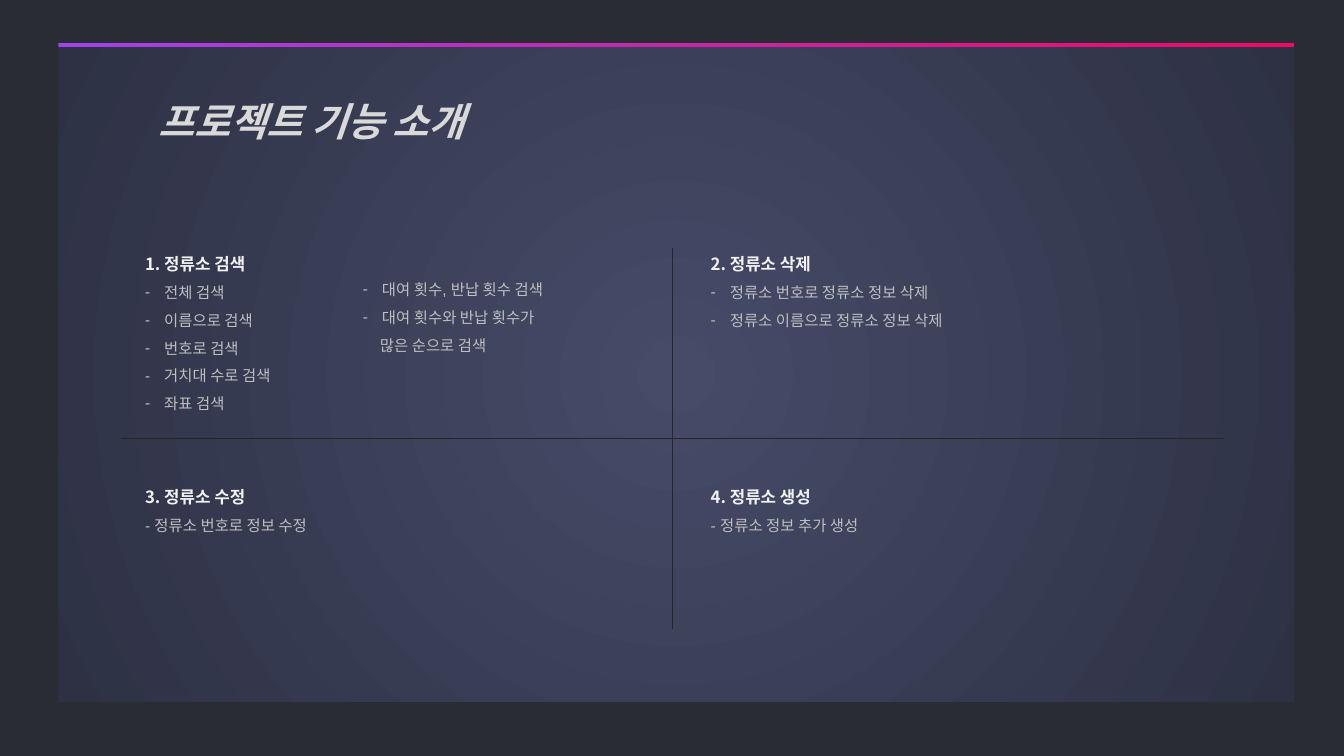
from lxml import etree
from pptx import Presentation
from pptx.dml.color import RGBColor
from pptx.enum.shapes import MSO_CONNECTOR, MSO_SHAPE
from pptx.enum.text import MSO_AUTO_SIZE
from pptx.oxml.ns import qn
from pptx.util import Inches, Pt

RECTANGLE = MSO_SHAPE.RECTANGLE
STRAIGHT = MSO_CONNECTOR.STRAIGHT
GROW = MSO_AUTO_SIZE.SHAPE_TO_FIT_TEXT

BACKDROP = RGBColor(0x29, 0x2C, 0x35)
PANEL_CENTER = RGBColor(0x46, 0x4B, 0x68)
PANEL_EDGE = RGBColor(0x2E, 0x31, 0x44)
VIOLET = RGBColor(0xA0, 0x43, 0xEB)
CRIMSON = RGBColor(0xED, 0x0B, 0x65)
TITLE_GRAY = RGBColor(0xD9, 0xD9, 0xD9)
HEADING_WHITE = RGBColor(0xF2, 0xF2, 0xF2)
DETAIL_GRAY = RGBColor(0xBF, 0xBF, 0xBF)
DIVIDER_GRAY = RGBColor(0x26, 0x26, 0x26)

KOREAN_FONT = "Noto Sans CJK KR"
DETAIL_FONT = "Arial"

SLIDE_WIDTH, SLIDE_HEIGHT = 13.33, 7.5
PANEL_LEFT, PANEL_TOP, PANEL_WIDTH, PANEL_HEIGHT = 0.58, 0.47, 12.26, 6.49
ACCENT_HEIGHT = 0.04
COLUMNS = (1.34, 6.95)
ROWS = (2.37, 4.68)
CROSS_X, CROSS_Y = 6.67, 4.35
CROSS_LEFT, CROSS_RIGHT, CROSS_TOP, CROSS_BOTTOM = 1.2, 12.14, 2.46, 6.24
HANGING = 0.19
CONTINUATION = 0.17

FEATURES = [
    (0, 0, 2.32, 1.79, "1. 정류소 검색",
     ["전체 검색", "이름으로 검색", "번호로 검색", "거치대 수로 검색", "좌표 검색"]),
    (1, 0, 5.19, 0.96, "2. 정류소 삭제",
     ["정류소 번호로 정류소 정보 삭제", "정류소 이름으로 정류소 정보 삭제"]),
    (0, 1, 5.19, 0.68, "3. 정류소 수정", "- 정류소 번호로 정보 수정"),
    (1, 1, 5.19, 0.68, "4. 정류소 생성", "- 정류소 정보 추가 생성"),
]
SEARCH_ORDERS = ["대여 횟수, 반납 횟수 검색", "대여 횟수와 반납 횟수가"]
SEARCH_ORDER_END = "많은 순으로 검색"


def add_gradient_band(slide, top, height, colors, radial=False):
    band = slide.shapes.add_shape(RECTANGLE, Inches(PANEL_LEFT), Inches(top),
                                  Inches(PANEL_WIDTH), Inches(height))
    band.shadow.inherit = False
    band.line.fill.background()
    band.fill.gradient()
    band.fill.gradient_angle = 0
    for stop, color in zip(band.fill.gradient_stops, colors):
        stop.color.rgb = color
    if radial:
        gradient = band._element.spPr.find(qn("a:gradFill"))
        gradient.remove(gradient.find(qn("a:lin")))
        circle = etree.SubElement(gradient, qn("a:path"), path="circle")
        etree.SubElement(circle, qn("a:fillToRect"),
                         dict.fromkeys("ltrb", "50000"))


def add_divider(group, x1, y1, x2, y2):
    divider = group.shapes.add_connector(STRAIGHT, Inches(x1), Inches(y1),
                                         Inches(x2), Inches(y2))
    divider.line.color.rgb = DIVIDER_GRAY
    divider.line.width = Pt(0.5)
    etree.SubElement(divider._element.spPr, qn("a:effectLst"))


def add_text_area(slide, left, top, width, height):
    area = slide.shapes.add_textbox(Inches(left), Inches(top),
                                    Inches(width), Inches(height))
    frame = area.text_frame
    frame.word_wrap = True
    frame.auto_size = GROW
    return frame


def add_line(frame, text, size, color, font=KOREAN_FONT, bold=False, italic=False):
    paragraph = frame.paragraphs[0]
    if paragraph.runs:
        paragraph = frame.add_paragraph()
    paragraph.line_spacing = 1.5
    run = paragraph.add_run()
    run.text = text
    run.font.size = Pt(size)
    run.font.name = font
    run.font.color.rgb = color
    run.font.bold = bold
    run.font.italic = italic
    etree.SubElement(run.font._element, qn("a:ea"), typeface=KOREAN_FONT)
    return paragraph


def add_detail(frame, text, margin=0):
    paragraph = add_line(frame, text, 11, DETAIL_GRAY, DETAIL_FONT)
    properties = paragraph._p.get_or_add_pPr()
    properties.set("marL", str(Inches(margin)))
    return properties


def add_dashed_details(frame, texts):
    for text in texts:
        properties = add_detail(frame, text, HANGING)
        properties.set("indent", str(-Inches(HANGING)))
        etree.SubElement(properties, qn("a:buFont"), typeface=DETAIL_FONT)
        etree.SubElement(properties, qn("a:buChar"), char="-")


def add_feature(slide, column, row, width, height, heading, details):
    frame = add_text_area(slide, COLUMNS[column], ROWS[row], width, height)
    add_line(frame, heading, 12, HEADING_WHITE, bold=True)
    if isinstance(details, str):
        add_detail(frame, details)
    else:
        add_dashed_details(frame, details)


def main():
    deck = Presentation()
    deck.slide_width = Inches(SLIDE_WIDTH)
    deck.slide_height = Inches(SLIDE_HEIGHT)
    slide = deck.slides.add_slide(deck.slide_layouts[6])
    slide.background.fill.solid()
    slide.background.fill.fore_color.rgb = BACKDROP

    add_gradient_band(slide, PANEL_TOP, PANEL_HEIGHT,
                      (PANEL_CENTER, PANEL_EDGE), radial=True)
    add_gradient_band(slide, PANEL_TOP - ACCENT_HEIGHT, ACCENT_HEIGHT,
                      (VIOLET, CRIMSON))

    title = add_text_area(slide, 1.47, 0.68, 4.17, 0.72)
    add_line(title, "프로젝트 기능 소개", 28, TITLE_GRAY, bold=True, italic=True)

    cross = slide.shapes.add_group_shape()
    add_divider(cross, CROSS_LEFT, CROSS_Y, CROSS_RIGHT, CROSS_Y)
    add_divider(cross, CROSS_X, CROSS_BOTTOM, CROSS_X, CROSS_TOP)

    for feature in FEATURES:
        add_feature(slide, *feature)

    search_orders = add_text_area(slide, 3.5, 2.64, 2.32, 0.93)
    add_dashed_details(search_orders, SEARCH_ORDERS)
    add_detail(search_orders, SEARCH_ORDER_END, CONTINUATION)

    deck.save("out.pptx")


if __name__ == "__main__":
    main()
